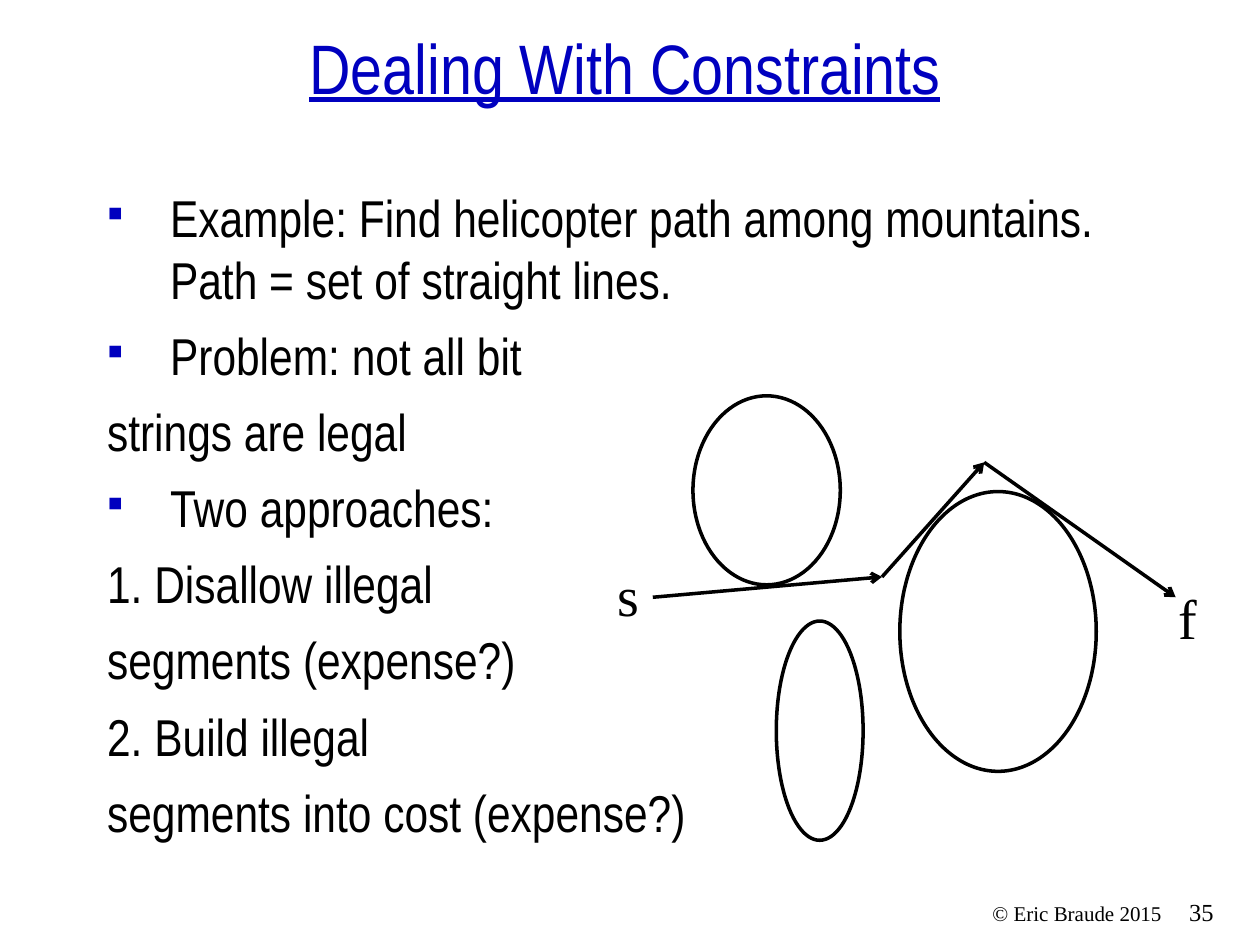
from lxml.etree import SubElement
from pptx import Presentation
from pptx.dml.color import RGBColor
from pptx.enum.shapes import MSO_CONNECTOR, MSO_SHAPE
from pptx.enum.text import MSO_ANCHOR, PP_ALIGN
from pptx.oxml.ns import qn
from pptx.util import Cm, Pt

COLORS = {"ink": "000000", "blue": "0000BF"}
SANS, SERIF = "Arial Narrow", "Times New Roman"

deck = Presentation()
deck.slide_width, deck.slide_height = Cm(25.4), Cm(19.05)
page = deck.slides.add_slide(deck.slide_layouts[6])


def add_text(text, place, size, font=SERIF, color="ink", align=PP_ALIGN.LEFT,
             anchor=MSO_ANCHOR.TOP, wrap=True, underline=None, gap=0):
    """Add a text box with one paragraph per line of text; place is in cm."""
    box = page.shapes.add_textbox(*(Cm(length) for length in place))
    frame = box.text_frame
    frame.word_wrap = wrap
    frame.vertical_anchor = anchor
    frame.text = text
    for index, para in enumerate(frame.paragraphs):
        para.alignment = align
        para.space_before = Pt(gap if index else 0)
        for span in para.runs:
            span.font.name = font
            span.font.size = Pt(size)
            span.font.underline = underline
            span.font.color.rgb = RGBColor.from_string(COLORS[color])
    return box


def add_bullet(para):
    """Give the paragraph a small blue square bullet on a hanging indent."""
    settings = para._p.get_or_add_pPr()
    settings.set("marL", str(Cm(1.27)))
    settings.set("indent", str(-Cm(1.27)))
    bullet_color = SubElement(settings, qn("a:buClr"))
    SubElement(bullet_color, qn("a:srgbClr"), val=COLORS["blue"])
    SubElement(settings, qn("a:buSzPct"), val="90000")
    SubElement(settings, qn("a:buFont"), typeface=SANS)
    SubElement(settings, qn("a:buChar"), char="▪")


# Footer and title
add_text("35", (23.72, 17.96, 1.47, 0.84), 14)
add_text("© Eric Braude 2015", (16.89, 18.03, 6.78, 0.76), 12, align=PP_ALIGN.RIGHT)
add_text("Dealing With Constraints", (0, 0.94, 25.2, 1.37), 40, font=SANS,
         color="blue", align=PP_ALIGN.CENTER, anchor=MSO_ANCHOR.BOTTOM, underline=True)

# Body
body_lines = [
    ("Example: Find helicopter path among mountains. Path = set of straight lines.", True),
    ("Problem: not all bit", True),
    ("strings are legal", False),
    ("Two approaches:", True),
    ("1. Disallow illegal", False),
    ("segments (expense?)", False),
    ("2. Build illegal", False),
    ("segments into cost (expense?)", False),
]
body = add_text("\n".join(line for line, _ in body_lines),
                (1.91, 3.61, 21.59, 14.17), 29.6, font=SANS, gap=8)
for para, (_, bulleted) in zip(body.text_frame.paragraphs, body_lines):
    if bulleted:
        add_bullet(para)

# Mountains
for place in [(13.97, 7.98, 2.97, 3.81), (18.14, 9.91, 3.96, 5.64), (15.65, 12.52, 1.75, 4.42)]:
    mountain = page.shapes.add_shape(MSO_SHAPE.OVAL, *(Cm(length) for length in place))
    mountain.shadow.inherit = False
    mountain.fill.background()
    mountain.line.color.rgb = RGBColor.from_string(COLORS["ink"])
    mountain.line.width = Pt(2)

# Start and finish of the flight
add_text("s", (12.19, 11.18, 0.94, 1.63), 32, wrap=False)
add_text("f", (23.5, 11.63, 0.89, 1.63), 32, wrap=False)

# Flight path: each leg starts where the last one ended
waypoints = [(13.16, 12.04), (17.78, 11.63), (19.84, 9.32), (23.7, 12.04)]
for start, end in zip(waypoints, waypoints[1:]):
    leg = page.shapes.add_connector(
        MSO_CONNECTOR.STRAIGHT, *(Cm(length) for length in start + end))
    leg.line.color.rgb = RGBColor.from_string(COLORS["ink"])
    leg.line.width = Pt(2)
    SubElement(leg.line._get_or_add_ln(), qn("a:tailEnd"), type="arrow")
    SubElement(leg._element.spPr, qn("a:effectLst"))

deck.save("out.pptx")
